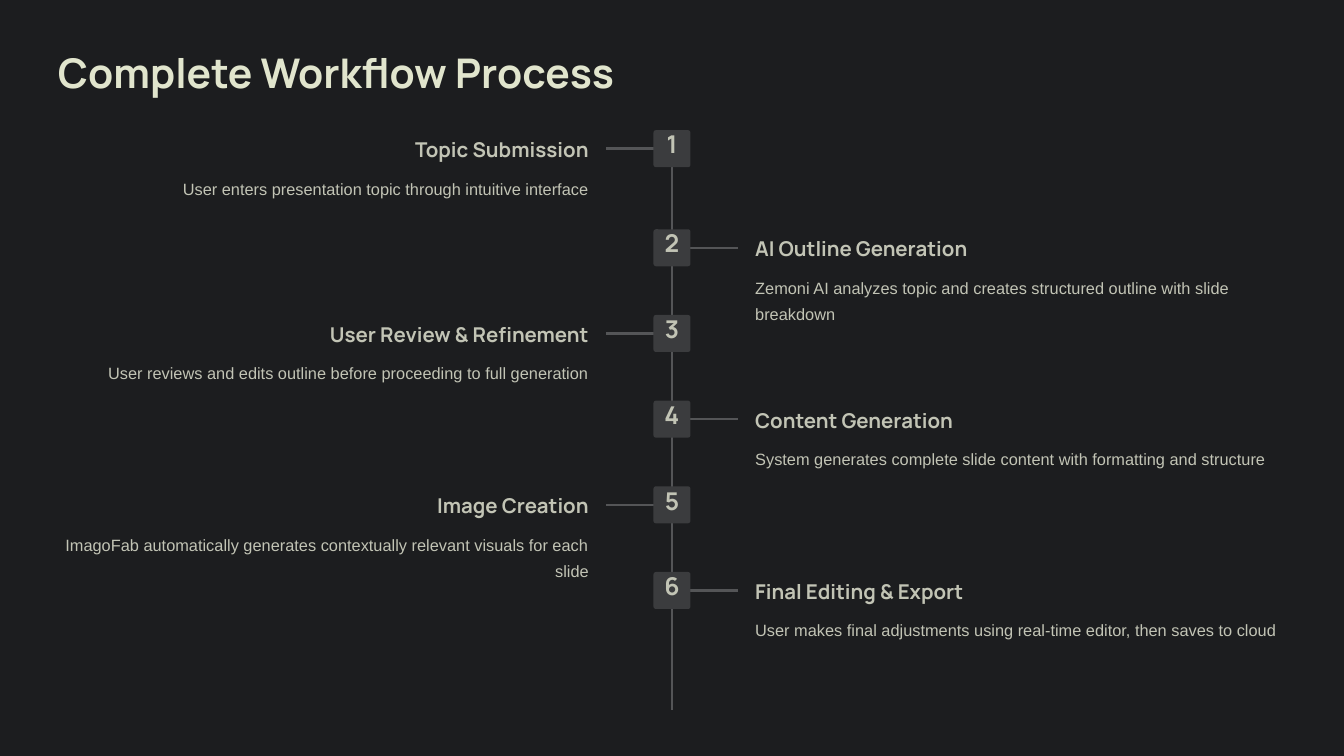
from lxml import etree
from pptx import Presentation
from pptx.dml.color import RGBColor
from pptx.enum.shapes import MSO_CONNECTOR as CONN, MSO_SHAPE as SHAPE
from pptx.enum.text import MSO_ANCHOR as ANCHOR, MSO_AUTO_SIZE as AUTO, PP_ALIGN as ALIGN
from pptx.oxml.ns import qn
from pptx.util import Inches, Pt

COLORS = {"background": "1C1D1F", "title": "E1E5CD", "text": "C2C4B5",
          "line": "545557", "badge": "3B3C3E"}
STEPS = [
    ("Topic Submission", "User enters presentation topic through intuitive interface"),
    ("AI Outline Generation",
     "Zemoni AI analyzes topic and creates structured outline with slide breakdown"),
    ("User Review & Refinement",
     "User reviews and edits outline before proceeding to full generation"),
    ("Content Generation",
     "System generates complete slide content with formatting and structure"),
    ("Image Creation",
     "ImagoFab automatically generates contextually relevant visuals for each slide"),
    ("Final Editing & Export",
     "User makes final adjustments using real-time editor, then saves to cloud"),
]
FIRST_TOP, SECOND_TOP, STEP_GAP = 1.55, 2.73, 1.02
BADGE, BRANCH = 0.44, 0.59
TEXT_W = 6.32


def rgb(name):
    return RGBColor.from_string(COLORS[name])


def set_text(sp, text, size, leading, color="text", font="Manrope", bold=True,
             align=ALIGN.LEFT, inset_top=0):
    tf = sp.text_frame
    tf.word_wrap = True
    tf.auto_size = AUTO.NONE
    tf.vertical_anchor = ANCHOR.TOP
    tf.margin_left = tf.margin_right = tf.margin_bottom = 0
    tf.margin_top = Inches(inset_top)
    p = tf.paragraphs[0]
    p.text = text
    p.alignment = align
    p.line_spacing = Pt(leading)
    p.space_before = Pt(0)
    p.font.name = font
    p.font.size = Pt(size)
    p.font.bold = bold
    p.font.color.rgb = rgb(color)


def add_title(s, text, x, y, w, h):
    sp = s.shapes.title
    sp.left, sp.top, sp.width, sp.height = map(Inches, (x, y, w, h))
    set_text(sp, text, 35, 44, color="title")


def add_line(s, x1, y1, x2, y2):
    line = s.shapes.add_connector(CONN.STRAIGHT, *map(Inches, (x1, y1, x2, y2)))
    line.line.color.rgb = rgb("line")
    line.line.width = Pt(2)
    etree.SubElement(line._element.spPr, qn("a:effectLst"))


def add_badge(s, number, x, y):
    sp = s.shapes.add_shape(SHAPE.ROUNDED_RECTANGLE, *map(Inches, (x, y, BADGE, BADGE)))
    sp.adjustments[0] = 0.067
    sp.shadow.inherit = False
    sp.fill.solid()
    sp.fill.fore_color.rgb = rgb("badge")
    sp.line.fill.background()
    set_text(sp, str(number), 21, 21, align=ALIGN.CENTER, inset_top=0.04)


def add_step(s, number, heading, body, center, top):
    on_left = number % 2 == 1
    side = -1 if on_left else 1
    align = ALIGN.RIGHT if on_left else ALIGN.LEFT
    text_x = center - 0.99 - TEXT_W if on_left else center + 0.99
    mid = top + BADGE / 2
    add_line(s, center + side * 0.2, mid, center + side * (0.2 + BRANCH), mid)
    add_badge(s, number, center - BADGE / 2, top)
    box = s.shapes.add_textbox(*map(Inches, (text_x, top + 0.07, TEXT_W, 0.31)))
    set_text(box, heading, 17.5, 22, align=align)
    box = s.shapes.add_textbox(*map(Inches, (text_x, top + 0.5, TEXT_W, 0.63)))
    set_text(box, body, 14, 22.5, font="Arial", bold=False, align=align)


def add_timeline(s, center, top, height):
    add_line(s, center, top, center, top + height)
    for i, (heading, body) in enumerate(STEPS):
        step_top = SECOND_TOP + (i - 1) * STEP_GAP if i else top
        add_step(s, i + 1, heading, body, center, step_top)


def main():
    prs = Presentation()
    prs.slide_width, prs.slide_height = Inches(16), Inches(9)
    s = prs.slides.add_slide(prs.slide_layouts[5])
    s.background.fill.solid()
    s.background.fill.fore_color.rgb = rgb("background")
    add_title(s, "Complete Workflow Process", 0.69, 0.54, 14.62, 0.62)
    add_timeline(s, 8, FIRST_TOP, 6.9)
    prs.save("out.pptx")


if __name__ == "__main__":
    main()
